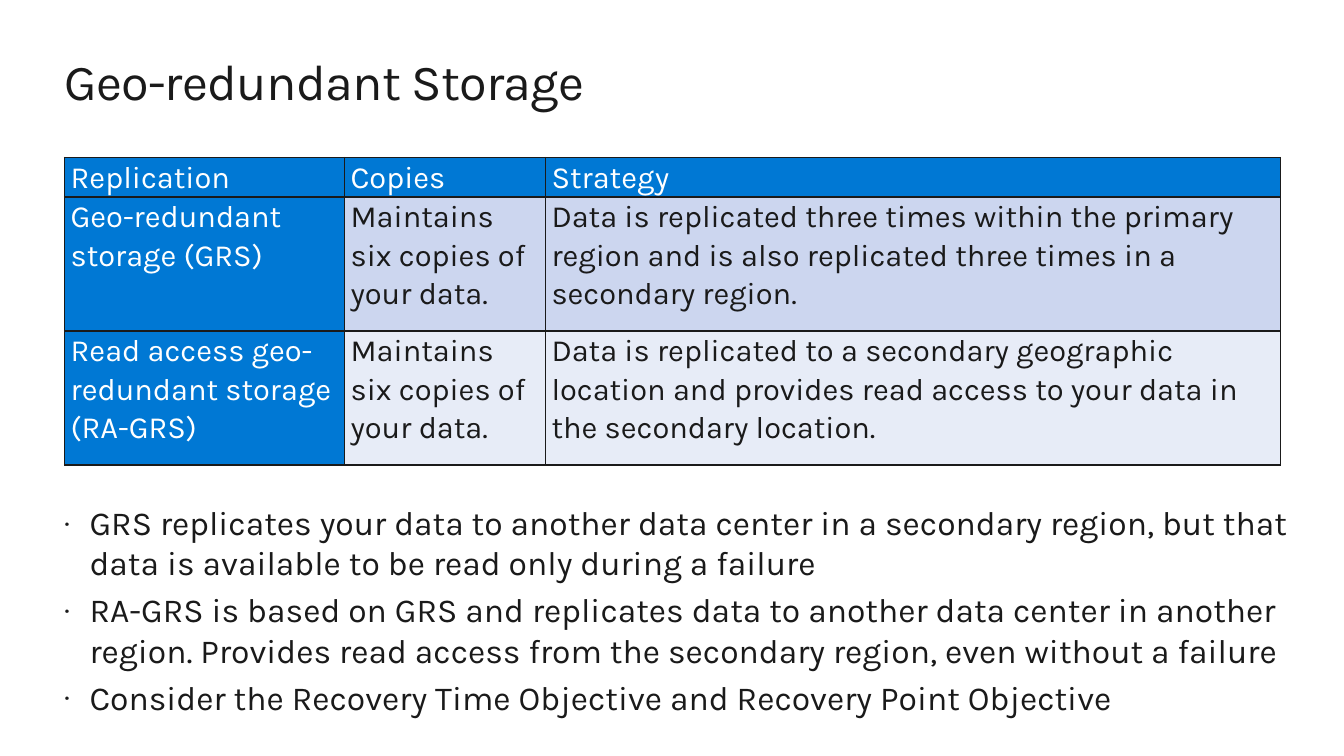
from lxml.etree import SubElement
from pptx import Presentation
from pptx.dml.color import RGBColor
from pptx.enum.text import MSO_ANCHOR, MSO_AUTO_SIZE, PP_ALIGN
from pptx.oxml.ns import qn
from pptx.util import Pt

COLORS = {
    "ink": "1A1A1A",
    "white": "FFFFFF",
    "header": "0078D4",
    "band_dark": "CCD6EF",
    "band_light": "E7ECF7",
}
LEFT = 46
COLUMN_WIDTHS = [200, 143.5, 525]
ROW_HEIGHTS = [28, 95.7, 95.7]
BANDS = ["header", "band_dark", "band_light"]
REPLICATION = [
    ["Replication", "Copies", "Strategy"],
    [
        "Geo-redundant storage (GRS)",
        "Maintains six copies of your data.",
        "Data is replicated three times within the primary region and is also "
        "replicated three times in a secondary region.",
    ],
    [
        "Read access geo-redundant storage (RA-GRS)",
        "Maintains six copies of your data.",
        "Data is replicated to a secondary geographic location and provides "
        "read access to your data in the secondary location.",
    ],
]
TAKEAWAYS = [
    "GRS replicates your data to another data center in a secondary region, "
    "but that data is available to be read only during a failure",
    "RA-GRS is based on GRS and replicates data to another data center in "
    "another region. Provides read access from the secondary region, even "
    "without a failure",
    "Consider the Recovery Time Objective and Recovery Point Objective",
]


def assign(target, values):
    for name, value in values.items():
        setattr(target, name, value)


class StorageSlide:
    font = "Karla"

    def __init__(self, slide):
        self.slide = slide

    def add_words(self, paragraph, words, size, color="ink"):
        run = paragraph.add_run()
        run.text = words
        assign(run.font, {"name": self.font, "size": Pt(size)})
        run.font.color.rgb = RGBColor.from_string(COLORS[color])
        return run

    def frame(self, left, top, width, height):
        box = self.slide.shapes.add_textbox(Pt(left), Pt(top), Pt(width), Pt(height))
        assign(box.text_frame, {
            "margin_left": 0, "margin_right": 0,
            "margin_top": 0, "margin_bottom": 0,
            "word_wrap": True,
            "auto_size": MSO_AUTO_SIZE.SHAPE_TO_FIT_TEXT,
            "vertical_anchor": MSO_ANCHOR.TOP,
        })
        return box.text_frame

    def title(self, words, top, width, height):
        heading = self.frame(LEFT, top, width, height).paragraphs[0]
        run = self.add_words(heading, words, 36)
        run._r.get_or_add_rPr().set("spc", "-50")

    def bullets(self, items, top, width, height):
        body = self.frame(LEFT, top, width, height)
        for index, words in enumerate(items):
            item = body.add_paragraph() if index else body.paragraphs[0]
            assign(item, {"space_before": Pt(4.8), "alignment": PP_ALIGN.LEFT})
            self.add_words(item, words, 24)
            properties = item._p.get_or_add_pPr()
            properties.set("marL", str(Pt(18)))
            properties.set("indent", str(-Pt(18)))
            SubElement(properties, qn("a:buSzPct"), val="90000")
            SubElement(properties, qn("a:buFont"), typeface=self.font)
            SubElement(properties, qn("a:buChar"), char="·")

    def borders(self, cell):
        properties = cell._tc.get_or_add_tcPr()
        for side in ("lnL", "lnR", "lnT", "lnB"):
            line = SubElement(properties, qn(f"a:{side}"), w=str(Pt(1)))
            paint = SubElement(line, qn("a:solidFill"))
            SubElement(paint, qn("a:srgbClr"), val=COLORS["ink"])

    def cell(self, cell, words, fill, color):
        assign(cell, {
            "margin_left": Pt(4.5), "margin_right": Pt(4.5),
            "margin_top": 0, "margin_bottom": 0,
            "vertical_anchor": MSO_ANCHOR.TOP,
        })
        self.borders(cell)
        cell.fill.solid()
        cell.fill.fore_color.rgb = RGBColor.from_string(COLORS[fill])
        paragraph = cell.text_frame.paragraphs[0]
        paragraph.line_spacing = 1.07
        self.add_words(paragraph, words, 22, color)

    def table(self, rows, top):
        table = self.slide.shapes.add_table(
            len(rows), len(COLUMN_WIDTHS), Pt(LEFT), Pt(top),
            Pt(sum(COLUMN_WIDTHS)), Pt(sum(ROW_HEIGHTS)),
        ).table
        assign(table, {"horz_banding": False, "first_row": False})
        for column, width in zip(table.columns, COLUMN_WIDTHS):
            column.width = Pt(width)
        for row, height in zip(table.rows, ROW_HEIGHTS):
            row.height = Pt(height)
        for r, row in enumerate(rows):
            for c, words in enumerate(row):
                fill = BANDS[r] if c else "header"
                color = "white" if fill == "header" else "ink"
                self.cell(table.cell(r, c), words, fill, color)


def main():
    deck = Presentation()
    assign(deck, {"slide_width": Pt(960), "slide_height": Pt(540)})
    storage = StorageSlide(deck.slides.add_slide(deck.slide_layouts[6]))
    storage.title("Geo-redundant Storage", 36, 868, 44)
    storage.bullets(TAKEAWAYS, 358.5, 891.5, 157)
    storage.table(REPLICATION, 112.5)
    deck.save("out.pptx")


if __name__ == "__main__":
    main()
